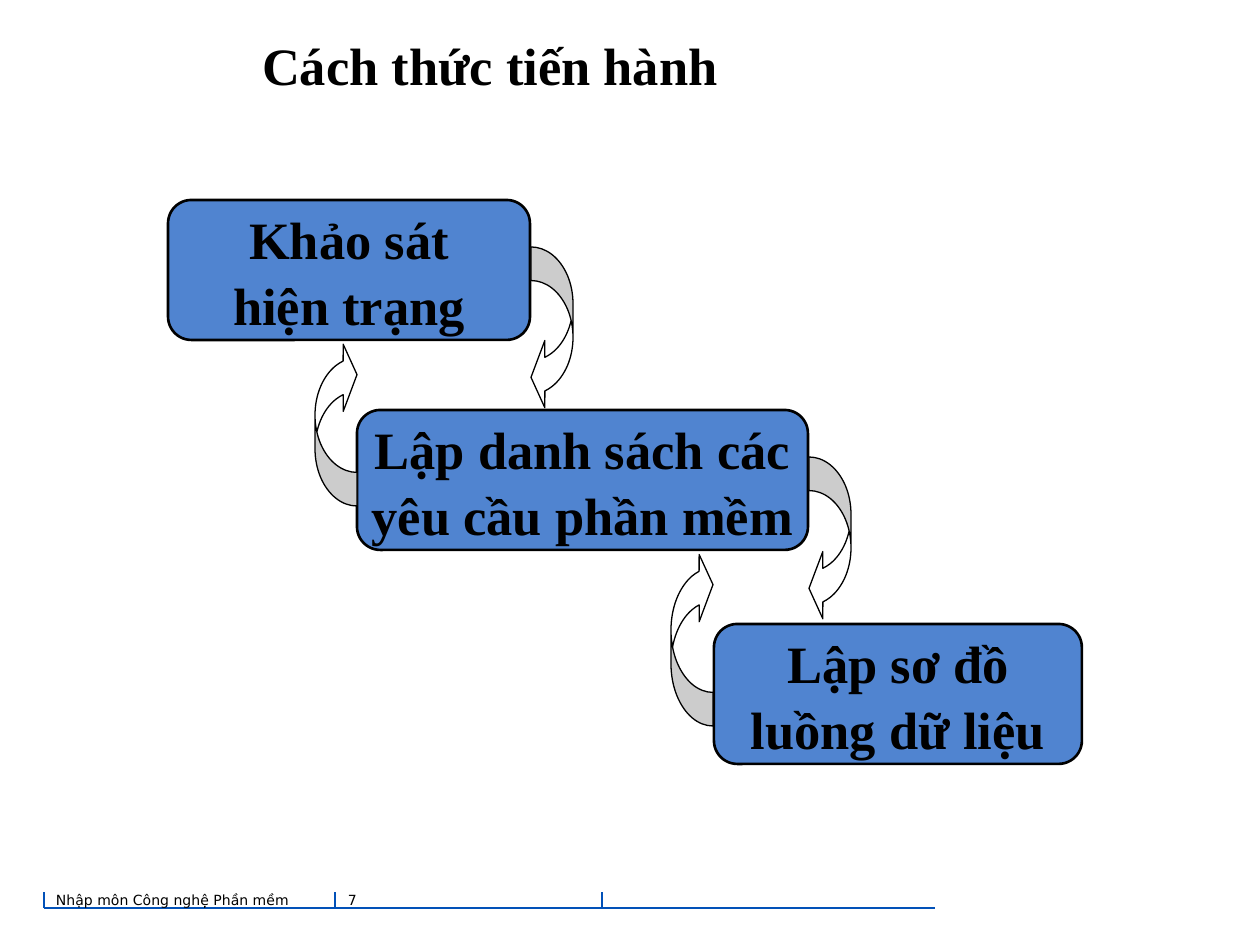
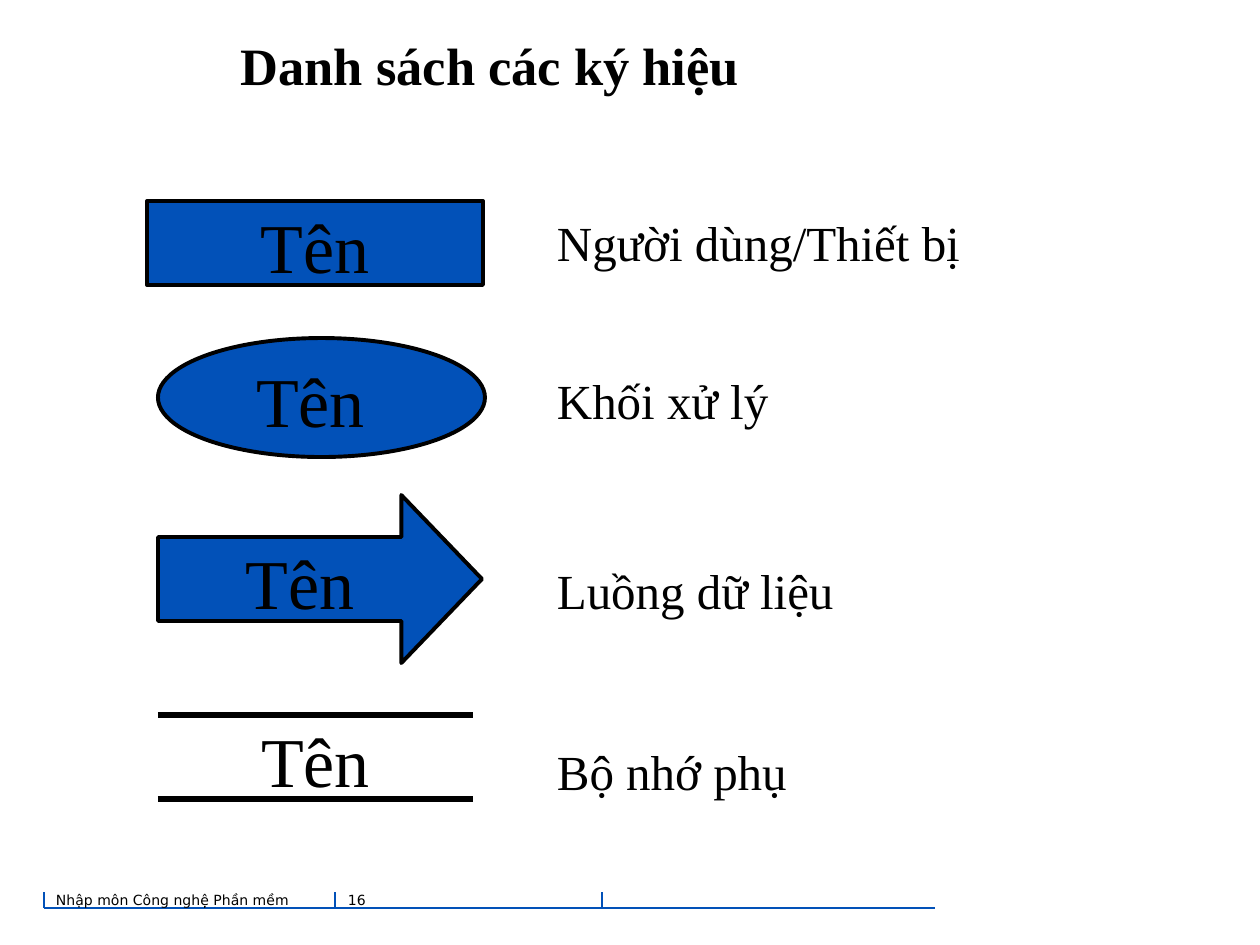
from lxml import etree
from pptx import Presentation
from pptx.dml.color import RGBColor
from pptx.enum import shapes, text
from pptx.oxml import ns
from pptx.util import Emu, Pt

PX = 914400 / 126

BLACK = RGBColor(0x00, 0x00, 0x00)
WHITE = RGBColor(0xFF, 0xFF, 0xFF)
BLUE = RGBColor(0x02, 0x51, 0xB8)
LIGHT_BLUE = RGBColor(0x50, 0x84, 0xD0)

SERIF = "Times New Roman"
SANS = "DejaVu Sans"
COURSE = "Nhập môn Công nghệ Phần mềm"

FOOTER_LEFT, FOOTER_RIGHT = 44, 935
FOOTER_TOP, FOOTER_BOTTOM = 892, 908
FOOTER_TICKS = (FOOTER_LEFT, 335, 602)

MIDDLE = text.MSO_ANCHOR.MIDDLE
CENTER = text.PP_ALIGN.CENTER
LEFT = text.PP_ALIGN.LEFT
SHAPE = shapes.MSO_SHAPE


def px(n):
    return Emu(round(n * PX))


def write(sp, lines, size, font=SERIF, bold=False, align=CENTER,
          anchor=MIDDLE, inset=0, spacing=1.05):
    tf = sp.text_frame
    tf.word_wrap = True
    tf.vertical_anchor = anchor
    tf.margin_left = tf.margin_right = px(inset)
    tf.margin_top = tf.margin_bottom = px(inset)
    tf.text = lines
    for p in tf.paragraphs:
        p.alignment = align
        p.line_spacing = spacing
        for r in p.runs:
            r.font.size = Pt(size)
            r.font.name = font
            r.font.bold = bold
            r.font.color.rgb = BLACK
    return tf


def add_text(slide, box, lines, size, **style):
    sp = slide.shapes.add_textbox(*map(px, box))
    return write(sp, lines, size, **style)


def add_block(slide, kind, box, fill, weight):
    sp = slide.shapes.add_shape(kind, *map(px, box))
    sp.shadow.inherit = False
    sp.fill.solid()
    sp.fill.fore_color.rgb = fill
    sp.line.color.rgb = BLACK
    sp.line.width = Pt(weight)
    return sp


def add_line(slide, x1, y1, x2, y2, color, weight):
    line = slide.shapes.add_connector(
        shapes.MSO_CONNECTOR.STRAIGHT, px(x1), px(y1), px(x2), px(y2))
    line.line.color.rgb = color
    line.line.width = Pt(weight)
    etree.SubElement(line._element.spPr, ns.qn("a:effectLst"))


def add_step(slide, box, lines):
    sp = add_block(slide, SHAPE.ROUNDED_RECTANGLE, box, LIGHT_BLUE, 1.5)
    write(sp, lines, 30, bold=True)


def add_curved_arrow(slide, x, y, height, rotation):
    sp = add_block(slide, SHAPE.CURVED_LEFT_ARROW, (x, y, 42, height), WHITE, 0.75)
    for i, value in enumerate((0.8, 1.6, 0.33)):
        sp.adjustments[i] = value
    sp.rotation = rotation


def add_symbol(slide, kind, box, shift=0):
    sp = add_block(slide, kind, box, BLUE, 2.25)
    tf = write(sp, "Tên", 40)
    tf.margin_right = px(shift)
    return sp


def add_base_slide(prs, title, number):
    """Blank slide with the shared title and footer."""
    slide = prs.slides.add_slide(prs.slide_layouts[6])
    add_line(slide, FOOTER_RIGHT, FOOTER_BOTTOM, FOOTER_LEFT, FOOTER_BOTTOM, BLUE, 0.75)
    for x in FOOTER_TICKS:
        add_line(slide, x, FOOTER_BOTTOM, x, FOOTER_TOP, BLUE, 0.75)
    for x, width, label in ((51, 276, COURSE), (343, 158, str(number))):
        add_text(slide, (x, 886, width, 31), label, 8, font=SANS, align=LEFT,
                 anchor=text.MSO_ANCHOR.TOP, inset=5, spacing=1.0)
    add_text(slide, (44, 9, 892, 107), title, 30, bold=True)
    return slide


def build_process(prs):
    slide = add_base_slide(prs, "Cách thức tiến hành", 7)

    # Three steps going down to the right
    add_step(slide, (168, 200, 362, 140), "Khảo sát\nhiện trạng")
    add_step(slide, (357, 410, 451, 140), "Lập danh sách các yêu cầu phần mềm")
    add_step(slide, (714, 624, 368, 140), "Lập sơ đồ luồng dữ liệu")

    # Arrows forward, then back
    for x, y, height, rotation in ((531, 247, 164, 0), (809, 457, 165, 0),
                                   (315, 341, 165, 180), (671, 551, 175, 180)):
        add_curved_arrow(slide, x, y, height, rotation)


def build_symbols(prs):
    slide = add_base_slide(prs, "Danh sách các ký hiệu", 16)

    # Symbols
    add_symbol(slide, SHAPE.RECTANGLE, (147, 201, 336, 84))
    add_symbol(slide, SHAPE.OVAL, (158, 338, 327, 119), shift=22)
    arrow = add_symbol(slide, SHAPE.RIGHT_ARROW, (158, 495, 324, 168))
    arrow.adjustments[1] = 0.48

    # Storage: a name between two lines
    add_text(slide, (158, 715, 315, 84), "Tên", 40)
    for y in (715, 799):
        add_line(slide, 158, y, 473, y, BLACK, 3)

    # Meanings, spaced to sit beside the symbols
    meanings = "Người dùng/Thiết bị\nKhối xử lý\nLuồng dữ liệu\nBộ nhớ phụ"
    tf = add_text(slide, (557, 210, 441, 630), meanings, 28, align=LEFT,
                  anchor=text.MSO_ANCHOR.TOP)
    for p, gap in zip(tf.paragraphs, (0, 55, 73, 68)):
        p.space_before = Pt(gap)


def main():
    prs = Presentation()
    prs.slide_width, prs.slide_height = px(1260), px(945)
    build_process(prs)
    build_symbols(prs)
    prs.save("out.pptx")


if __name__ == "__main__":
    main()
